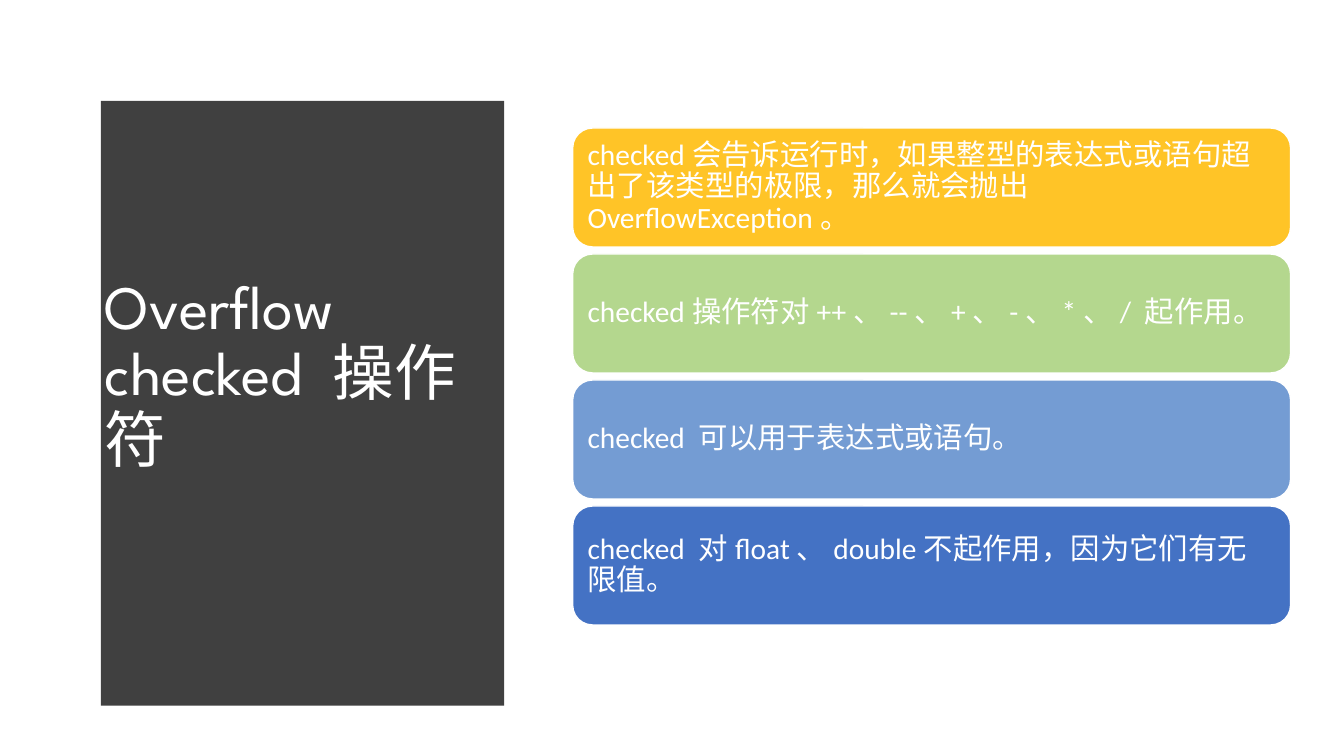
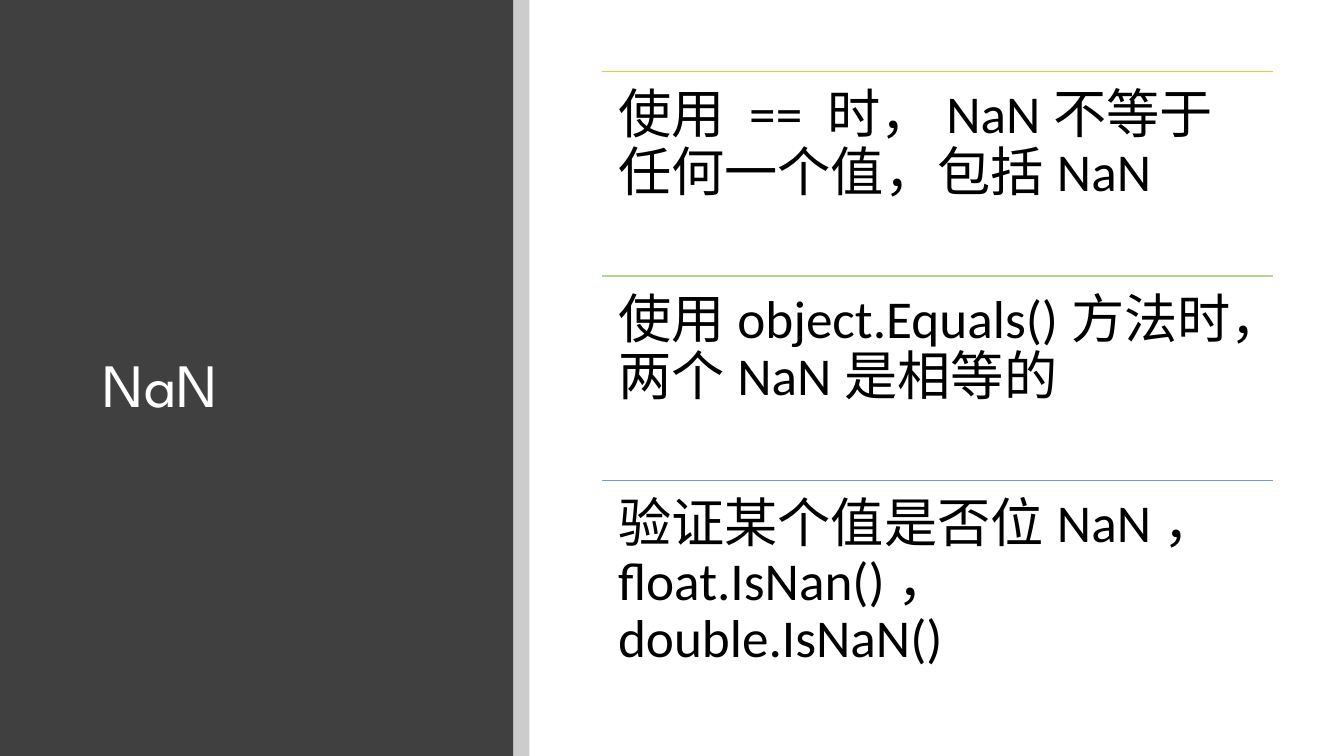
from dataclasses import dataclass

from lxml.etree import SubElement
from pptx import Presentation
from pptx.dml.color import RGBColor as RGB
from pptx.enum.shapes import MSO_CONNECTOR as LINE, MSO_SHAPE as SHAPE
from pptx.enum.text import MSO_ANCHOR as ANCHOR, MSO_AUTO_SIZE as FIT, PP_ALIGN as ALIGN
from pptx.oxml.ns import qn
from pptx.util import Inches, Pt


@dataclass(frozen=True)
class Theme:
    dark: RGB = RGB(0x40, 0x40, 0x40)
    white: RGB = RGB(0xFF, 0xFF, 0xFF)
    black: RGB = RGB(0, 0, 0)
    hues: tuple = tuple(map(RGB.from_string, ("FFC427", "B4D78E", "749CD3", "4472C4")))
    head: str = "League Spartan"
    body: str = "Calibri"
    title: int = 44
    card: int = 21
    row: int = 38


THEME = Theme()
WIDE, HIGH = 13.33, 7.5
CARDS = (
    "checked会告诉运行时，如果整型的表达式或语句超出了该类型的极限，那么就会抛出OverflowException。",
    "checked操作符对++、--、+、-、*、/ 起作用。",
    "checked 可以用于表达式或语句。",
    "checked 对float、double不起作用，因为它们有无限值。",
)
ROWS = (
    "使用 == 时，NaN不等于任何一个值，包括NaN",
    "使用object.Equals()方法时，两个NaN是相等的",
    "验证某个值是否位NaN，float.IsNan()，double.IsNaN()",
)


def box(*sizes):
    return [Inches(size) for size in sizes]


def paint(shape, color):
    """Give a flat fill with no outline and no shadow."""
    shape.shadow.inherit = False
    shape.fill.solid()
    shape.fill.fore_color.rgb = color
    shape.line.fill.background()


def write(shape, text, face, size, color, anchor, inset):
    frame = shape.text_frame
    frame.text = text
    frame.word_wrap = True
    frame.auto_size = FIT.NONE
    frame.vertical_anchor = anchor
    frame.margin_left = frame.margin_right = Inches(inset)
    frame.margin_top = frame.margin_bottom = Inches(inset)
    para = frame.paragraphs[0]
    para.alignment = ALIGN.LEFT
    para.line_spacing = 0.9
    para.font.name = face
    para.font.size = Pt(size)
    para.font.color.rgb = color


def add_title(slide, text, area):
    """Fill the title and lift it above the panel drawn so far."""
    title = slide.shapes.title
    title.left, title.top, title.width, title.height = box(*area)
    write(title, text, THEME.head, THEME.title, THEME.white, ANCHOR.MIDDLE, 0.1)
    title._element.getparent().append(title._element)


def add_curve(slide, left, top, right, foot, bulge, steps=48):
    """Draw a dark panel whose right side bows out as a parabola."""
    edge = []
    for step in range(steps + 1):
        part = step / steps
        edge.append((right + 4 * bulge * part * (1 - part), top + (foot - top) * part))
    path = slide.shapes.build_freeform(left, top, scale=Inches(1))
    path.add_line_segments(edge + [(left, foot)], close=True)
    paint(path.convert_to_shape(), THEME.dark)


def add_rect(slide, area, color, alpha=None):
    rect = slide.shapes.add_shape(SHAPE.RECTANGLE, *box(*area))
    paint(rect, color)
    if alpha is not None:
        tone = rect._element.spPr.find(qn("a:solidFill"))[0]
        SubElement(tone, qn("a:alpha")).set("val", str(alpha * 1000))


def add_card(slide, text, top, color):
    card = slide.shapes.add_shape(SHAPE.ROUNDED_RECTANGLE, *box(5.68, top, 7.12, 1.18))
    paint(card, color)
    card.line.color.rgb = THEME.white
    card.line.width = Pt(1)
    write(card, text, THEME.body, THEME.card, THEME.white, ANCHOR.MIDDLE, 0.09)


def add_row(slide, text, top, color, left=5.97, width=6.66, height=2.03):
    """Place a text under a thin coloured rule."""
    rule = slide.shapes.add_connector(LINE.STRAIGHT, *box(left, top, left + width, top))
    rule.line.color.rgb = color
    rule.line.width = Pt(1)
    SubElement(rule._element.spPr, qn("a:effectLst"))
    note = slide.shapes.add_textbox(*box(left, top, width, height))
    write(note, text, THEME.body, THEME.row, THEME.black, ANCHOR.TOP, 0.16)


def add_list(slide, draw, texts, top, pitch):
    for place, (text, hue) in enumerate(zip(texts, THEME.hues)):
        draw(slide, text, top + place * pitch, hue)


def main():
    deck = Presentation()
    deck.slide_width, deck.slide_height = box(WIDE, HIGH)
    layout = deck.slide_layouts[5]

    checked = deck.slides.add_slide(layout)
    add_curve(checked, 0.53, 0.52, 5.08, 6.96, 0.24)
    add_title(checked, "Overflow checked 操作符", (0.94, 1.11, 3.74, 5.24))
    add_list(checked, add_card, CARDS, 1.27, 1.25)

    nan = deck.slides.add_slide(layout)
    add_rect(nan, (0, 0, 5.09, HIGH), THEME.dark)
    add_title(nan, "NaN", (0.92, 0.89, 3.65, 5.91))
    add_rect(nan, (5.09, 0, 0.16, HIGH), THEME.black, alpha=20)
    add_list(nan, add_row, ROWS, 0.71, 2.03)

    deck.save("out.pptx")


if __name__ == "__main__":
    main()
